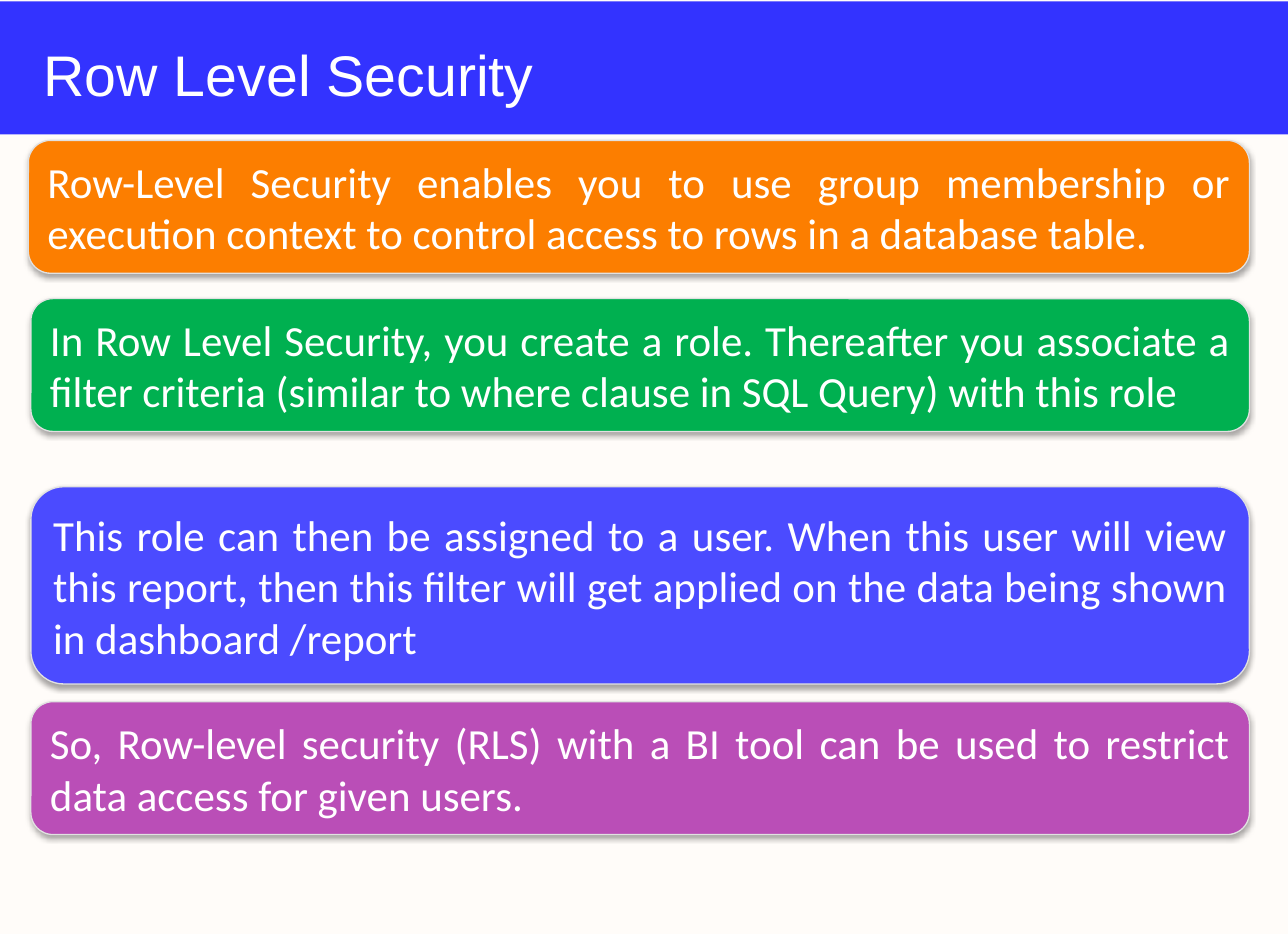
"""Build the Row Level Security slide."""
from lxml.etree import SubElement
from pptx import Presentation
from pptx.dml.color import RGBColor
from pptx.enum.shapes import MSO_SHAPE as Kind
from pptx.enum.text import MSO_ANCHOR as Anchor, PP_ALIGN as Align
from pptx.oxml.ns import qn
from pptx.util import Cm, Pt

WHITE = RGBColor(0xFF, 0xFF, 0xFF)
CREAM = RGBColor(0xFF, 0xFC, 0xF9)
NAVY = RGBColor(0x33, 0x33, 0xFF)
ORANGE = RGBColor(0xFC, 0x7E, 0x00)
GREEN = RGBColor(0x00, 0xB0, 0x50)
BLUE = RGBColor(0x4B, 0x4B, 0xFF)
PURPLE = RGBColor(0xBA, 0x4E, 0xB7)
GREY = RGBColor(0xE1, 0xE1, 0xE1)


def write(shape, text, font, size, align):
    frame = shape.text_frame
    frame.word_wrap = True
    frame.vertical_anchor = Anchor.MIDDLE
    para = frame.paragraphs[0]
    para.alignment = align
    run = para.add_run()
    run.text = text
    run.font.name = font
    run.font.size = Pt(size)
    run.font.color.rgb = WHITE


def shade(shape):
    shape.shadow.inherit = False
    effects = shape._element.spPr.find(qn("a:effectLst"))
    outer = SubElement(effects, qn("a:outerShdw"), blurRad=str(Pt(3.1)),
                       dist=str(Pt(1.8)), dir="5400000", rotWithShape="0")
    color = SubElement(outer, qn("a:srgbClr"), val="000000")
    SubElement(color, qn("a:alpha"), val="35000")


deck = Presentation()
deck.slide_width = Cm(25.4)
deck.slide_height = Cm(18.42)
slide = deck.slides.add_slide(deck.slide_layouts[6])
slide.background.fill.solid()
slide.background.fill.fore_color.rgb = CREAM
shapes = slide.shapes

bar = shapes.add_shape(Kind.RECTANGLE, Cm(0), Cm(0.03), Cm(25.4), Cm(2.62))
bar.shadow.inherit = False
bar.fill.solid()
bar.fill.fore_color.rgb = NAVY
bar.line.fill.background()

title = shapes.add_textbox(Cm(0.61), Cm(0.69), Cm(24.31), Cm(1.52))
write(title, "Row Level Security", "Arial", 32, Align.LEFT)

right = 24.64
cards = [
    (0.56, 2.77, 2.62, ORANGE,
     "Row-Level Security enables you to use group membership or execution "
     "context to control access to rows in a database table."),
    (0.61, 5.89, 2.62, GREEN,
     "In Row Level Security, you create a role. Thereafter you associate a "
     "filter criteria (similar to where clause in SQL Query) with this role"),
    (0.61, 9.6, 3.89, BLUE,
     "This role can then be assigned to a user. When this user will view "
     "this report, then this filter will get applied on the data being "
     "shown in dashboard /report"),
    (0.61, 13.84, 2.62, PURPLE,
     "So, Row-level security (RLS) with a BI tool can be used to restrict "
     "data access for given users."),
]
for left, top, height, color, text in cards:
    card = shapes.add_shape(Kind.ROUNDED_RECTANGLE, Cm(left), Cm(top),
                            Cm(right - left), Cm(height))
    card.fill.solid()
    card.fill.fore_color.rgb = color
    card.line.color.rgb = GREY
    card.line.width = Pt(0.75)
    shade(card)
    write(card, text, "Calibri", 24, Align.JUSTIFY)

deck.save("out.pptx")
